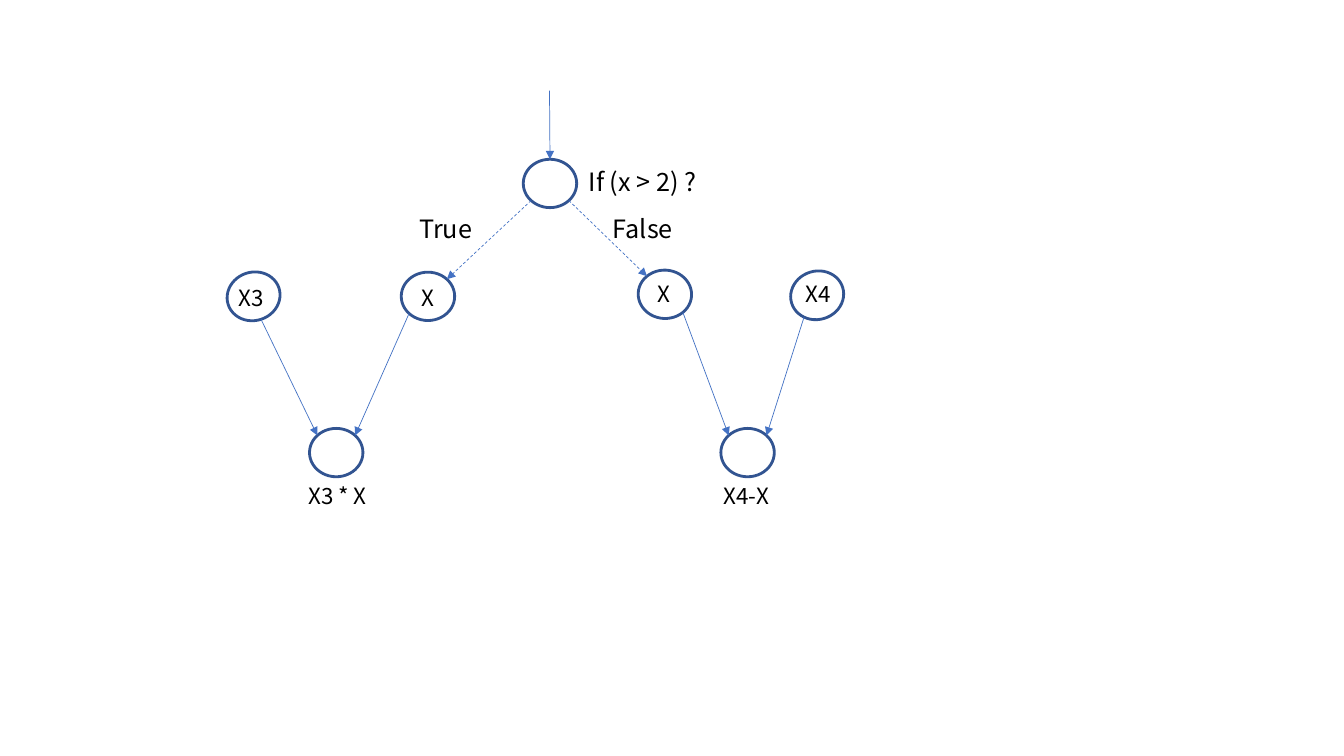
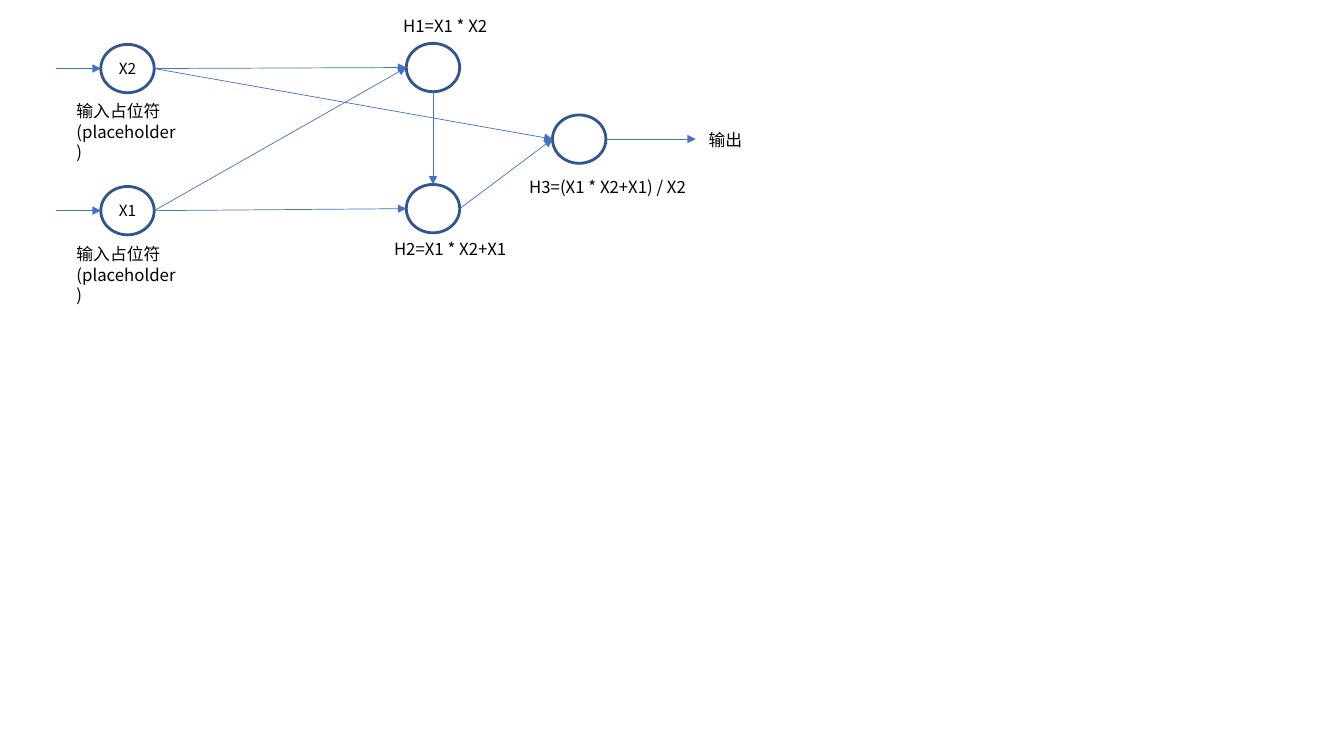
"""Builds two slides of computation graphs: a conditional graph and a placeholder network."""
import math
from dataclasses import dataclass

import lxml.etree
import pptx
import pptx.dml.color
import pptx.enum.dml
import pptx.enum.shapes
import pptx.enum.text
import pptx.oxml.ns
import pptx.util

Inches = pptx.util.Inches
Pt = pptx.util.Pt
qn = pptx.oxml.ns.qn


@dataclass(frozen=True)
class Theme:
    font: str = "Noto Sans CJK SC"
    text: str = "000000"
    outline: str = "325491"
    arrow: str = "4472C4"
    question_size: int = 18
    label_size: int = 16
    caption_size: int = 12
    node_size: int = 11
    line_spacing: float = 1.22
    outline_width: float = 2
    arrow_width: float = 0.5
    node_width: float = 0.53
    node_height: float = 0.48


THEME = Theme()
TOP, TOP_LEFT, LEFT, BOTTOM_LEFT, BOTTOM, BOTTOM_RIGHT, RIGHT, TOP_RIGHT = range(8)
PLACEHOLDER = "输入占位符\n(placeholder)"

CONDITIONAL = {
    "grouped": True,
    "nodes": {
        "condition": (5.19, 1.58, 0, ""),
        "true x": (3.98, 2.70, 0, ""),
        "false x": (6.33, 2.68, 3.1, ""),
        "x3": (2.25, 2.70, 342, ""),
        "product": (3.07, 4.25, 0, ""),
        "x4": (7.84, 2.69, 343.2, ""),
        "difference": (7.15, 4.25, 0, ""),
    },
    "arrows": [
        ((5.45, 0.90), ("condition", TOP), False),
        (("condition", BOTTOM_LEFT), ("true x", TOP_RIGHT), True),
        (("condition", BOTTOM_RIGHT), ("false x", TOP_LEFT), True),
        (("x3", BOTTOM), ("product", TOP_LEFT), False),
        (("true x", BOTTOM_LEFT), ("product", TOP_RIGHT), False),
        (("x4", BOTTOM_LEFT), ("difference", TOP_RIGHT), False),
        (("false x", BOTTOM_RIGHT), ("difference", TOP_LEFT), False),
    ],
    "labels": [
        ("If (x > 2) ?", 5.74, 1.60, 1.68, 0.40, THEME.question_size),
        ("True", 4.06, 2.06, 0.85, 0.40, THEME.question_size),
        ("False", 5.98, 2.06, 0.89, 0.40, THEME.question_size),
        ("X3", 2.27, 2.76, 0.69, 0.37, THEME.label_size),
        ("X", 4.08, 2.76, 0.69, 0.37, THEME.label_size),
        ("X3 * X", 2.96, 4.73, 1.08, 0.37, THEME.label_size),
        ("X", 6.42, 2.72, 0.69, 0.37, THEME.label_size),
        ("X4", 7.89, 2.72, 0.69, 0.37, THEME.label_size),
        ("X4-X", 7.08, 4.73, 1.08, 0.37, THEME.label_size),
    ],
}

NETWORK = {
    "grouped": False,
    "nodes": {
        "x2": (1.00, 0.44, 0, "X2"),
        "x1": (1.00, 1.85, 0, "X1"),
        "h1": (4.03, 0.43, 0, ""),
        "h2": (4.03, 1.83, 0, ""),
        "h3": (5.48, 1.14, 0, ""),
    },
    "arrows": [
        ((0.56, 0.68), ("x2", LEFT), False),
        ((0.56, 2.09), ("x1", LEFT), False),
        (("x2", RIGHT), ("h1", LEFT), False),
        (("x1", RIGHT), ("h1", LEFT), False),
        (("x1", RIGHT), ("h2", LEFT), False),
        (("h1", BOTTOM), ("h2", TOP), False),
        (("x2", RIGHT), ("h3", LEFT), False),
        (("h2", RIGHT), ("h3", LEFT), False),
        (("h3", RIGHT), (6.90, 1.38), False),
    ],
    "labels": [
        ("H1=X1 * X2", 3.90, 0.10, 1.49, 0.30, THEME.caption_size),
        ("H2=X1 * X2+X1", 3.81, 2.32, 1.67, 0.30, THEME.caption_size),
        ("H3=(X1 * X2+X1) / X2", 5.15, 1.70, 1.91, 0.30, THEME.caption_size),
        (PLACEHOLDER, 0.66, 0.95, 1.21, 0.50, THEME.caption_size),
        (PLACEHOLDER, 0.66, 2.37, 1.21, 0.50, THEME.caption_size),
        ("输出", 6.93, 1.23, 0.69, 0.30, THEME.caption_size),
    ],
}


def rgb(value):
    return pptx.dml.color.RGBColor.from_string(value)


def write_text(frame, text, *, size, align=pptx.enum.text.PP_ALIGN.LEFT,
               anchor=pptx.enum.text.MSO_ANCHOR.TOP, wrap=True):
    frame.word_wrap = wrap
    frame.vertical_anchor = anchor
    for index, line in enumerate(text.split("\n")):
        paragraph = frame.add_paragraph() if index else frame.paragraphs[0]
        paragraph.alignment = align
        paragraph.line_spacing = Pt(size * THEME.line_spacing)
        run = paragraph.add_run()
        run.text = line
        run.font.size = Pt(size)
        run.font.name = THEME.font
        run.font.color.rgb = rgb(THEME.text)
        lxml.etree.SubElement(run.font._element, qn("a:ea"), typeface=THEME.font)


def add_node(shapes, left, top, rotation, text):
    shape = shapes.add_shape(
        pptx.enum.shapes.MSO_SHAPE.OVAL, Inches(left), Inches(top),
        Inches(THEME.node_width), Inches(THEME.node_height))
    shape.rotation = rotation
    shape.shadow.inherit = False
    shape.fill.background()
    shape.line.color.rgb = rgb(THEME.outline)
    shape.line.width = Pt(THEME.outline_width)
    if text:
        write_text(shape.text_frame, text, size=THEME.node_size, wrap=False,
                   align=pptx.enum.text.PP_ALIGN.CENTER,
                   anchor=pptx.enum.text.MSO_ANCHOR.MIDDLE)
    return shape


def site_point(node, site):
    left, top, rotation, _ = node
    angle = math.radians(-90 - 45 * site)
    turn = math.radians(rotation)
    across = THEME.node_width / 2 * math.cos(angle)
    down = THEME.node_height / 2 * math.sin(angle)
    return (left + THEME.node_width / 2 + across * math.cos(turn) - down * math.sin(turn),
            top + THEME.node_height / 2 + across * math.sin(turn) + down * math.cos(turn))


def add_arrow(shapes, nodes, ovals, start, end, dashed):
    ends = (start, end)
    points = [site_point(nodes[stop[0]], stop[1]) if stop[0] in nodes else stop
              for stop in ends]
    connector = shapes.add_connector(
        pptx.enum.shapes.MSO_CONNECTOR.STRAIGHT,
        *(Inches(value) for point in points for value in point))
    connector.line.color.rgb = rgb(THEME.arrow)
    connector.line.width = Pt(THEME.arrow_width)
    if dashed:
        connector.line.dash_style = pptx.enum.dml.MSO_LINE.DASH
    properties = connector._element.spPr
    lxml.etree.SubElement(properties.find(qn("a:ln")), qn("a:tailEnd"), type="triangle")
    lxml.etree.SubElement(properties, qn("a:effectLst"))
    joints = connector._element.find(".//" + qn("p:cNvCxnSpPr"))
    for tag, stop in zip(("a:stCxn", "a:endCxn"), ends):
        if stop[0] in ovals:
            lxml.etree.SubElement(joints, qn(tag), id=str(ovals[stop[0]].shape_id),
                                  idx=str(stop[1]))


def add_label(shapes, text, left, top, width, height, size):
    box = shapes.add_textbox(Inches(left), Inches(top), Inches(width), Inches(height))
    write_text(box.text_frame, text, size=size)


def build_graph(presentation, graph):
    slide = presentation.slides.add_slide(presentation.slide_layouts[6])
    shapes = slide.shapes.add_group_shape().shapes if graph["grouped"] else slide.shapes
    nodes = graph["nodes"]
    ovals = {name: add_node(shapes, *node) for name, node in nodes.items()}
    for arrow in graph["arrows"]:
        add_arrow(shapes, nodes, ovals, *arrow)
    for label in graph["labels"]:
        add_label(shapes, *label)


def main():
    presentation = pptx.Presentation()
    presentation.slide_width = Inches(13.33)
    presentation.slide_height = Inches(7.5)
    for graph in (CONDITIONAL, NETWORK):
        build_graph(presentation, graph)
    presentation.save("out.pptx")


if __name__ == "__main__":
    main()
